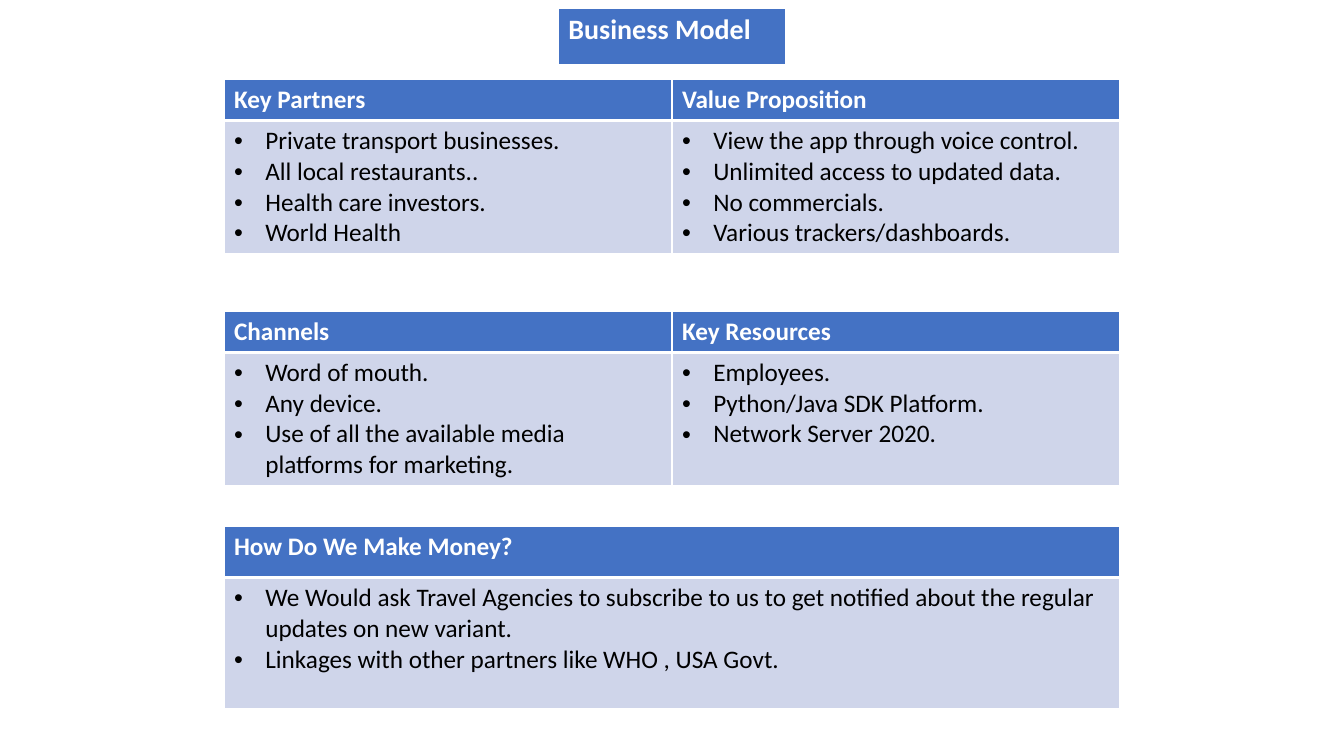
from lxml.etree import SubElement as Sub
from pptx import Presentation
from pptx.dml.color import RGBColor as RGB
from pptx.oxml.ns import qn
from pptx.util import Inches, Pt

WHITE = RGB(0xFF, 0xFF, 0xFF)
BLACK = RGB(0, 0, 0)
BLUE = RGB(0x44, 0x72, 0xC4)
PALE = RGB(0xCF, 0xD5, 0xEA)

WIDE, HIGH = Inches(13.33), Inches(7.5)
COLS, ROWS = 12, 75


class Board:
    font = "Calibri"
    size = 18
    hang = Inches(0.31)

    def __init__(self, slide):
        self.slide = slide

    def grid(self, col, row, cols, heights):
        shape = self.slide.shapes.add_table(
            len(heights), len(cols),
            round(WIDE * col / COLS), round(HIGH * row / ROWS),
            round(WIDE * sum(cols) / COLS), round(HIGH * sum(heights) / ROWS))
        table = shape.table
        table.first_row = table.horz_banding = False
        for part, span in zip(table.columns, cols):
            part.width = round(WIDE * span / COLS)
        for part, span in zip(table.rows, heights):
            part.height = round(HIGH * span / ROWS)
        return table

    def edges(self, cell, top, base):
        props = cell._tc.get_or_add_tcPr()
        for side, width in zip("LRTB", (1, 1, top, base)):
            line = Sub(props, qn(f"a:ln{side}"), w=str(Pt(width)))
            fill = Sub(line, qn("a:solidFill"))
            Sub(fill, qn("a:srgbClr"), val=str(WHITE))

    def paint(self, cell, fill):
        cell.fill.solid()
        cell.fill.fore_color.rgb = fill

    def label(self, cell, lines, color, size, bold):
        frame = cell.text_frame
        frame.text = "\n".join(lines)
        for para in frame.paragraphs:
            font = para.font
            font.name, font.size, font.bold = self.font, Pt(size), bold
            font.color.rgb = color

    def bullet(self, para):
        props = para._p.get_or_add_pPr()
        props.set("marL", str(self.hang))
        props.set("indent", str(-self.hang))
        font = Sub(props, qn("a:buFont"), typeface="Arial")
        mark = Sub(props, qn("a:buChar"), char="•")
        props.insert(0, font)
        props.insert(1, mark)

    def head(self, cell, text, size=size):
        self.edges(cell, 1, 3)
        self.paint(cell, BLUE)
        self.label(cell, [text], WHITE, size, True)

    def body(self, cell, lines):
        self.edges(cell, 3, 1)
        self.paint(cell, PALE)
        self.label(cell, lines, BLACK, self.size, False)
        for para in cell.text_frame.paragraphs:
            self.bullet(para)

    def title(self, text, row, span, height):
        table = self.grid((COLS - span) / 2, row, [span], [height])
        self.head(table.cell(0, 0), text, 20)

    def panel(self, row, heights, topics):
        span = 8 / len(topics)
        table = self.grid(2, row, [span] * len(topics), heights)
        for col, (name, lines) in enumerate(topics.items()):
            self.head(table.cell(0, col), name)
            self.body(table.cell(1, col), lines)


def main():
    deck = Presentation()
    deck.slide_width, deck.slide_height = WIDE, HIGH
    board = Board(deck.slides.add_slide(deck.slide_layouts[6]))
    board.panel(7.9, [4.05, 13.2], {
        "Key Partners": [
            "Private transport businesses.",
            "All local restaurants..",
            "Health care investors.",
            "World Health"],
        "Value Proposition": [
            "View the app through voice control.",
            "Unlimited access to updated data.",
            "No commercials.",
            "Various trackers/dashboards."]})
    board.panel(30.9, [4.05, 13.2], {
        "Channels": [
            "Word of mouth.",
            "Any device.",
            "Use of all the available media platforms for marketing."],
        "Key Resources": [
            "Employees.",
            "Python/Java SDK Platform.",
            "Network Server 2020."]})
    board.panel(52.2, [5.1, 13], {
        "How Do We Make Money?": [
            "We Would ask Travel Agencies to subscribe to us to get notified "
            "about the regular updates on new variant.",
            "Linkages with other partners like WHO , USA Govt."]})
    board.title("Business Model", 0.8, 2.03, 5.7)
    deck.save("out.pptx")


if __name__ == "__main__":
    main()
